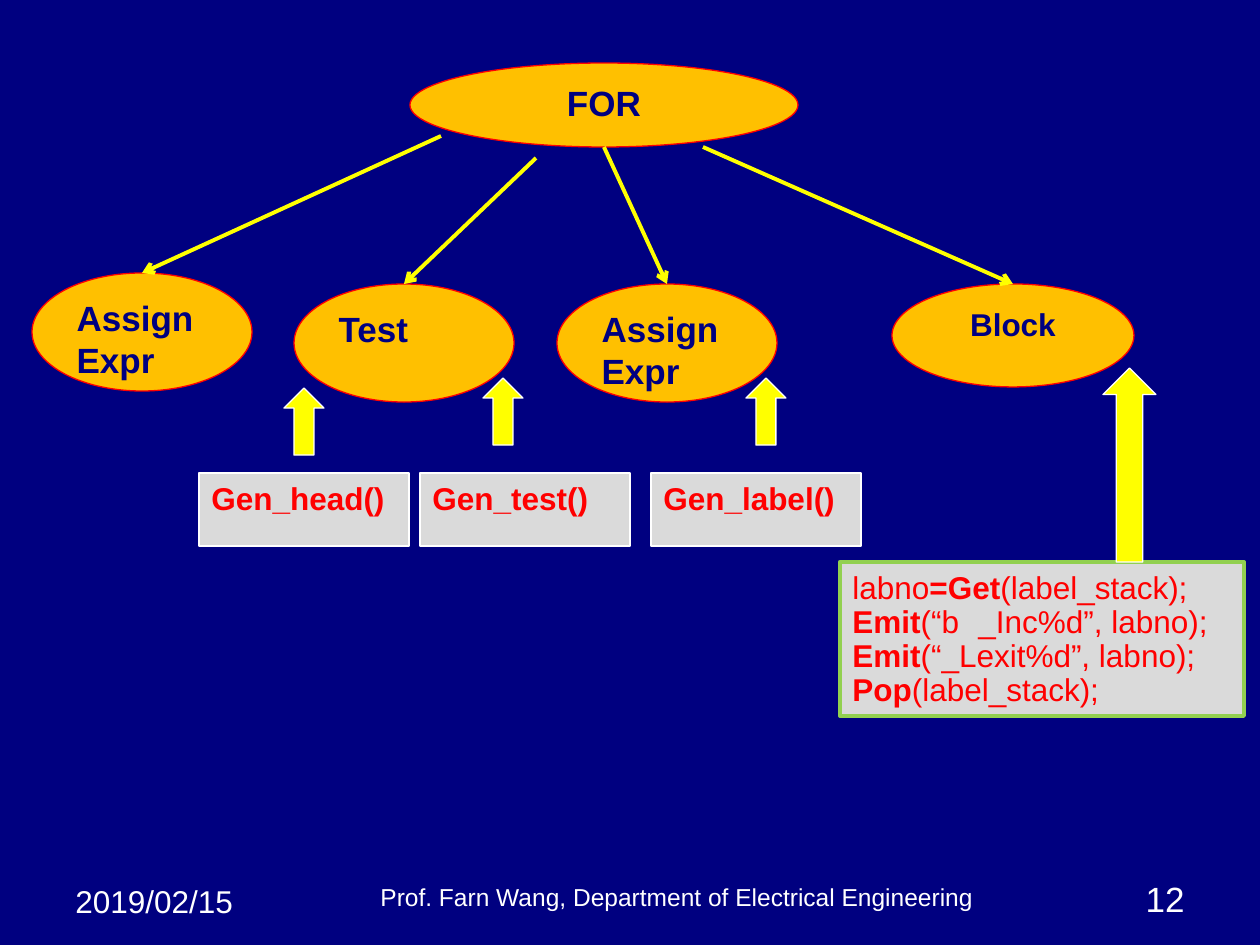
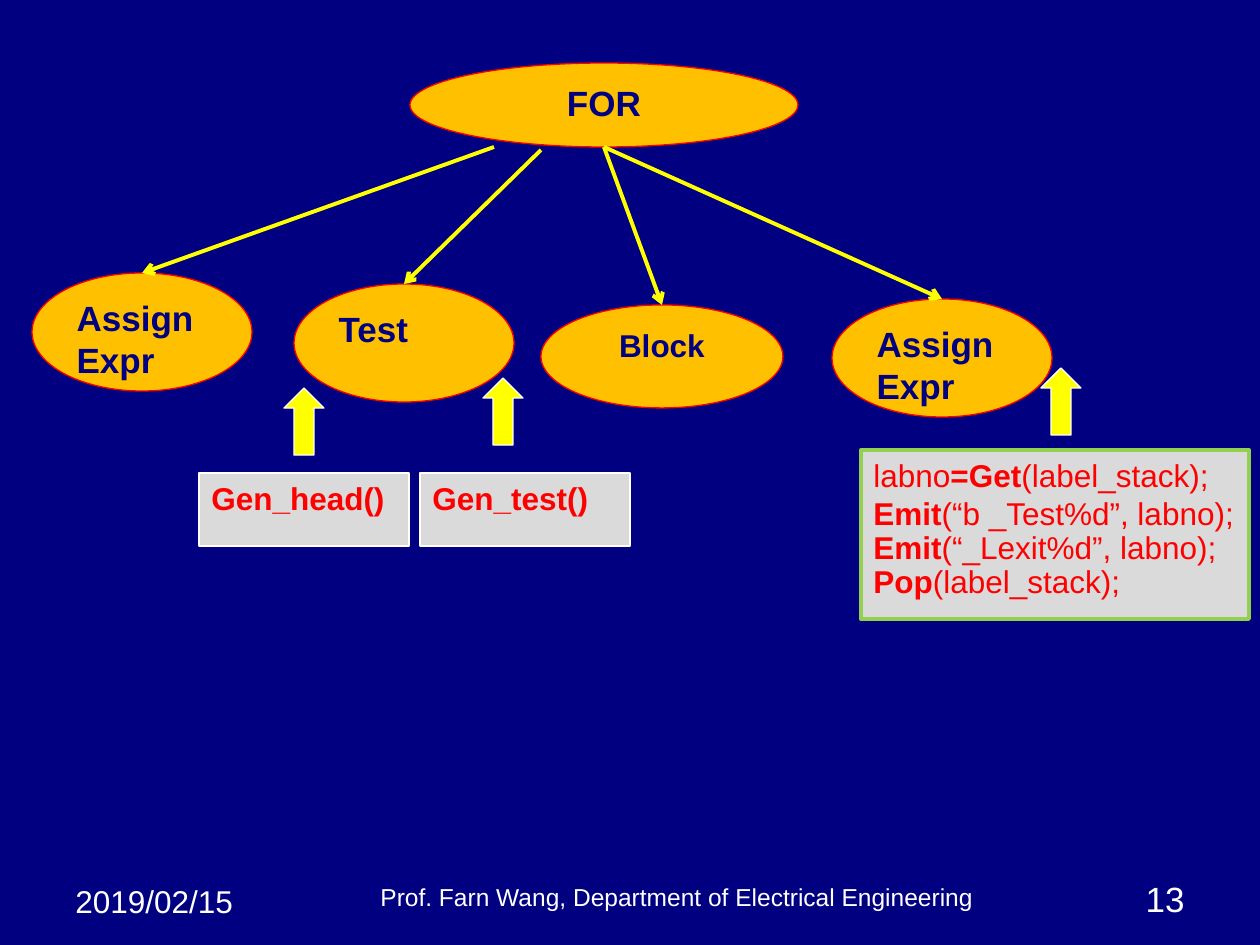
"""Build two slides showing code generation on the syntax tree of a FOR loop."""
from lxml import etree
from pptx import Presentation
from pptx.dml.color import RGBColor
from pptx.enum.shapes import MSO_CONNECTOR, MSO_SHAPE
from pptx.enum.text import MSO_ANCHOR, PP_ALIGN
from pptx.oxml.ns import qn
from pptx.util import Pt

PX = 914400 / 126
OVAL, RECT, UP_ARROW = MSO_SHAPE.OVAL, MSO_SHAPE.RECTANGLE, MSO_SHAPE.UP_ARROW
STRAIGHT = MSO_CONNECTOR.STRAIGHT
LEFT, CENTER, RIGHT = PP_ALIGN.LEFT, PP_ALIGN.CENTER, PP_ALIGN.RIGHT
TOP, BOTTOM = MSO_ANCHOR.TOP, MSO_ANCHOR.BOTTOM
NAVY, AMBER, RED, YELLOW = "000080", "FFC000", "FF0000", "FFFF00"
WHITE, GREY, GREEN = "FFFFFF", "DADADA", "92D050"
FONT = "Arial"


def rgb(color):
    return RGBColor.from_string(color)


def add_box(s, kind, box, paras=(), size=18, color=WHITE, fill=None,
            line=None, width=0.75, align=LEFT, anchor=TOP):
    x, y, w, h = (round(v * PX) for v in box)
    if kind is None:
        sp = s.shapes.add_textbox(x, y, w, h)
    else:
        sp = s.shapes.add_shape(kind, x, y, w, h)
        sp.shadow.inherit = False
        sp.fill.solid()
        sp.fill.fore_color.rgb = rgb(fill)
        sp.line.color.rgb = rgb(line)
        sp.line.width = Pt(width)
    tf = sp.text_frame
    tf.word_wrap = True
    tf.vertical_anchor = anchor
    for i, (spacing, runs) in enumerate(paras):
        p = tf.paragraphs[0] if i == 0 else tf.add_paragraph()
        p.alignment = align
        p.line_spacing = spacing
        for text, bold in runs:
            r = p.add_run()
            r.text = text
            r.font.name = FONT
            r.font.size = Pt(size)
            r.font.bold = bold
            r.font.color.rgb = rgb(color)
    return sp


ROOT = (410, 63, 388, 84)
NODE_SIZE = (220, 118)
BLOCK_SIZE = (242, 103)
CALL_SIZE = (210, 73)
ARROW_SIZE = (40, 67)
ASSIGN, TEST, BLOCK = ["Assign", "Expr"], ["Test"], ["Block"]
HEAD_CALL, TEST_CALL = ("Gen_head()", 199), ("Gen_test()", 420)
HEAD_ARROW, TEST_ARROW = (284, 388, *ARROW_SIZE), (483, 378, *ARROW_SIZE)
GET_LINE = (1.0, [("labno", False), ("=Get", True), ("(label_stack);", False)])
EXIT_LINE = (0.9, [("Emit", True), ("(“_Lexit%d”, labno); ", False),
                   ("Pop", True), ("(label_stack);", False)])

slides = [
    {
        "number": "12",
        "nodes": [(ASSIGN, 32, 273, (441, 136)), (TEST, 294, 284, (536, 158)),
                  (ASSIGN, 557, 284, (604, 147)), (BLOCK, 892, 284, (703, 147))],
        "calls": [HEAD_CALL, TEST_CALL, ("Gen_label()", 651)],
        "code_box": (840, 562, 404, 154),
        "emit": (0.9, [("Emit", True), ("(“b\t_Inc%d”, labno);", False)]),
        "arrows": [HEAD_ARROW, TEST_ARROW, (746, 378, *ARROW_SIZE),
                   (1103, 368, 53, 194)],
    },
    {
        "number": "13",
        "nodes": [(ASSIGN, 32, 273, (494, 147)), (TEST, 294, 284, (541, 150)),
                  (BLOCK, 541, 305, (604, 147)), (ASSIGN, 832, 299, (604, 147))],
        "calls": [HEAD_CALL, TEST_CALL],
        "code_box": (861, 450, 388, 169),
        "emit": (1.0, [("Emit", True), ("(“b _Test%d”, labno);", False)]),
        "arrows": [HEAD_ARROW, TEST_ARROW, (1041, 368, *ARROW_SIZE)],
    },
]

prs = Presentation()
prs.slide_width, prs.slide_height = round(1260 * PX), round(945 * PX)
background = prs.slide_master.background.fill
background.solid()
background.fore_color.rgb = rgb(NAVY)

for page in slides:
    s = prs.slides.add_slide(prs.slide_layouts[6])
    add_box(s, None, (63, 876, 199, 50), [(1.0, [("2019/02/15", False)])])
    add_box(s, OVAL, ROOT, [(1.0, [("FOR", True)])], 20, NAVY, AMBER, RED,
            align=CENTER)

    for words, x, y, start in page["nodes"]:
        is_block = words == BLOCK
        w, h = BLOCK_SIZE if is_block else NODE_SIZE
        node = add_box(s, OVAL, (x, y, w, h),
                       [(1.0, [(word, True)]) for word in words],
                       18 if is_block else 20, NAVY, AMBER, RED,
                       align=CENTER if is_block else LEFT)
        ends = (round(v * PX) for v in (*start, x + w / 2, y))
        edge = s.shapes.add_connector(STRAIGHT, *ends)
        edge.end_connect(node, 0)
        edge.line.color.rgb = rgb(YELLOW)
        edge.line.width = Pt(2.25)
        ln = edge.line._get_or_add_ln()
        etree.SubElement(ln, qn("a:tailEnd"), type="arrow")
        etree.SubElement(edge._element.spPr, qn("a:effectLst"))

    for call, x in page["calls"]:
        add_box(s, RECT, (x, 473, *CALL_SIZE), [(1.0, [(call, True)])],
                18, RED, GREY, WHITE)
    add_box(s, RECT, page["code_box"], [GET_LINE, page["emit"], EXIT_LINE],
            18, RED, GREY, GREEN, 2.25)
    for arrow in page["arrows"]:
        add_box(s, UP_ARROW, arrow, fill=YELLOW, line=WHITE)

    add_box(s, None, (252, 876, 850, 42),
            [(1.0, [("Prof. Farn Wang, Department of Electrical Engineering", False)])],
            14, align=CENTER, anchor=BOTTOM)
    add_box(s, None, (903, 861, 294, 65), [(1.0, [(page["number"], False)])],
            20, align=RIGHT, anchor=BOTTOM)

prs.save("out.pptx")
